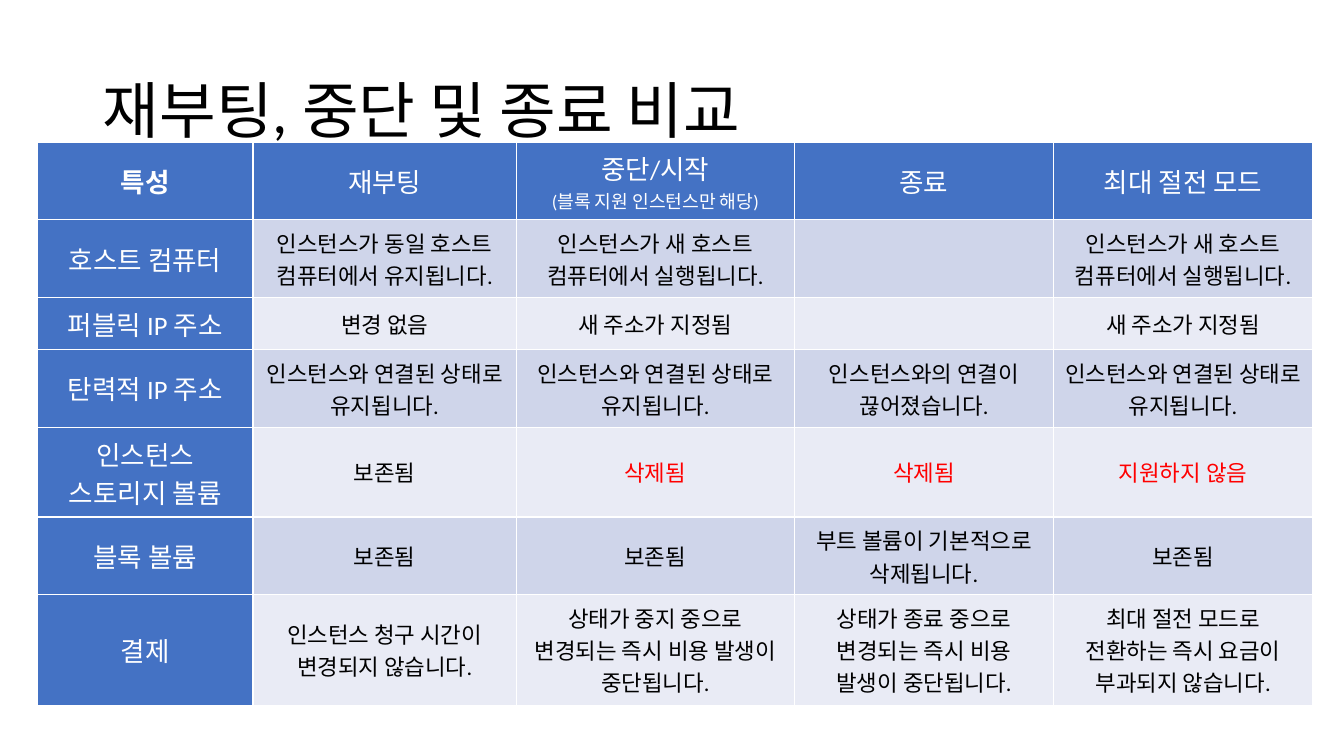
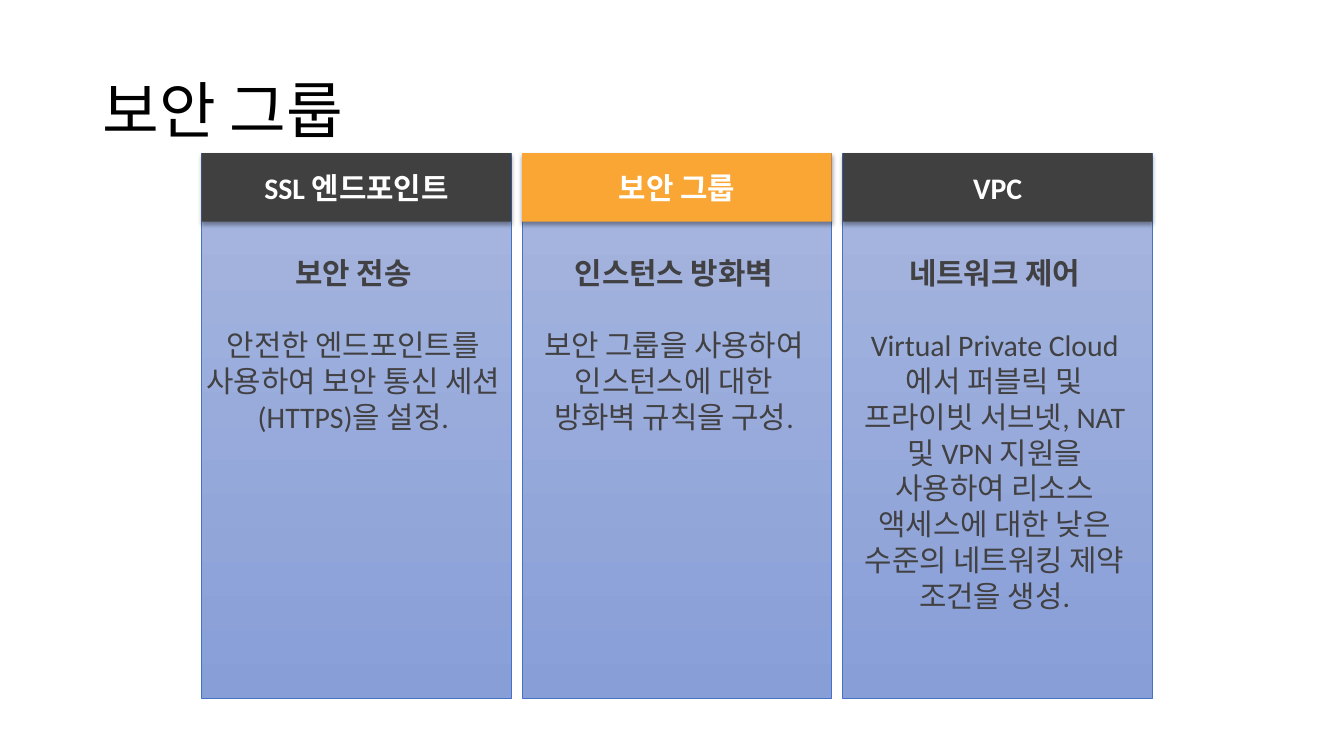
from lxml import etree
from pptx import Presentation
from pptx.dml.color import RGBColor
from pptx.enum import shapes, text
from pptx.oxml.ns import qn
from pptx.util import Inches, Pt

COLORS = {
    "black": "000000", "white": "FFFFFF", "red": "FF0000",
    "blue": "4472C4", "band_dark": "CFD5EA", "band_light": "E9EBF5",
    "charcoal": "404040", "orange": "FAA634", "body": "414042",
    "card_top": "A8B7DF", "card_bottom": "889ED7",
}
FONT = "Calibri"

COMPARISON_TITLE = "재부팅, 중단 및 종료 비교"
COMPARISON = [
    ["특성", "재부팅", "중단/시작\n(블록 지원 인스턴스만 해당)", "종료", "최대 절전 모드"],
    ["호스트 컴퓨터", "인스턴스가 동일 호스트 컴퓨터에서 유지됩니다.",
     "인스턴스가 새 호스트 컴퓨터에서 실행됩니다.", "",
     "인스턴스가 새 호스트 컴퓨터에서 실행됩니다."],
    ["퍼블릭 IP 주소", "변경 없음", "새 주소가 지정됨", "", "새 주소가 지정됨"],
    ["탄력적 IP 주소", "인스턴스와 연결된 상태로 유지됩니다.",
     "인스턴스와 연결된 상태로 유지됩니다.", "인스턴스와의 연결이 끊어졌습니다.",
     "인스턴스와 연결된 상태로 유지됩니다."],
    ["인스턴스 스토리지 볼륨", "보존됨", "삭제됨", "삭제됨", "지원하지 않음"],
    ["블록 볼륨", "보존됨", "보존됨", "부트 볼륨이 기본적으로 삭제됩니다.", "보존됨"],
    ["결제", "인스턴스 청구 시간이 변경되지 않습니다.",
     "상태가 중지 중으로 변경되는 즉시 비용 발생이 중단됩니다.",
     "상태가 종료 중으로 변경되는 즉시 비용 발생이 중단됩니다.",
     "최대 절전 모드로 전환하는 즉시 요금이 부과되지 않습니다."],
]
WARNINGS = {"삭제됨", "지원하지 않음"}
COLUMN_WIDTHS = [2.14, 2.61, 2.76, 2.57, 2.57]
ROW_HEIGHTS = [0.77, 0.77, 0.52, 0.77, 0.89, 0.77, 1.1]

SECURITY_TITLE = "보안 그룹"
# header, header colour, heading, description, text width
CARDS = [
    ("SSL 엔드포인트", "charcoal", "보안 전송",
     "안전한 엔드포인트를 사용하여 보안 통신 세션(HTTPS)을 설정.", 3.2),
    ("보안 그룹", "orange", "인스턴스 방화벽",
     "보안 그룹을 사용하여 인스턴스에 대한 방화벽 규칙을 구성.", 2.96),
    ("VPC", "charcoal", "네트워크 제어",
     "Virtual Private Cloud에서 퍼블릭 및 프라이빗 서브넷, NAT 및 VPN 지원을 사용하여 "
     "리소스 액세스에 대한 낮은 수준의 네트워킹 제약 조건을 생성.", 2.98),
]
CARD_LEFT, CARD_TOP, CARD_WIDTH, CARD_HEIGHT = 2, 1.52, 3.07, 5.41
CARD_PITCH, HEADER_HEIGHT, TEXT_TOP, CARD_SIZE = 3.18, 0.68, 2.48, 21.3


def rgb(name):
    return RGBColor.from_string(COLORS[name])


def style(para, size, color, bold=False, align=text.PP_ALIGN.CENTER):
    para.alignment = align
    for span in para.runs:
        span.font.name = FONT
        span.font.size = Pt(size)
        span.font.bold = bold
        span.font.color.rgb = rgb(color)


def add_text(page, words, left, top, width, height):
    box = page.shapes.add_textbox(*map(Inches, (left, top, width, height)))
    box.text_frame.word_wrap = True
    box.text_frame.text = words
    return box.text_frame


def add_page(deck, title):
    page = deck.slides.add_slide(deck.slide_layouts[6])
    frame = add_text(page, title, 0.92, 0.4, 11.5, 1.45)
    frame.vertical_anchor = text.MSO_ANCHOR.MIDDLE
    frame.paragraphs[0].line_spacing = 0.9
    style(frame.paragraphs[0], 44, "black", align=text.PP_ALIGN.LEFT)
    return page


def add_rectangle(page, left, top, width, height):
    box = page.shapes.add_shape(shapes.MSO_SHAPE.RECTANGLE,
                                *map(Inches, (left, top, width, height)))
    box.shadow.inherit = False
    return box


def add_soft_shadow(box):
    effects = box._element.spPr.find(qn("a:effectLst"))
    shadow = etree.SubElement(effects, qn("a:outerShdw"), blurRad=str(Pt(3.1)),
                              dist=str(Pt(1.8)), dir="5400000", rotWithShape="0")
    color = etree.SubElement(shadow, qn("a:srgbClr"), val=COLORS["black"])
    etree.SubElement(color, qn("a:alpha"), val="35000")


def fill_cell(cell, words, row, column):
    is_label = row == 0 or column == 0
    fill = "blue" if is_label else "band_dark" if row % 2 else "band_light"
    cell.fill.solid()
    cell.fill.fore_color.rgb = rgb(fill)
    cell.vertical_anchor = text.MSO_ANCHOR.MIDDLE
    cell.margin_left = cell.margin_right = Inches(0.11)
    cell.margin_top = cell.margin_bottom = Inches(0.07)
    cell.text_frame.text = words
    color = "white" if is_label else "red" if words in WARNINGS else "black"
    for index, para in enumerate(cell.text_frame.paragraphs):
        size = 13 if index else 19 if is_label else 16
        style(para, size, color, bold=row == column == 0)


def build_comparison(deck):
    page = add_page(deck, COMPARISON_TITLE)
    table = page.shapes.add_table(
        len(ROW_HEIGHTS), len(COLUMN_WIDTHS), Inches(0.37), Inches(1.41),
        Inches(sum(COLUMN_WIDTHS)), Inches(sum(ROW_HEIGHTS))).table
    for column, width in zip(table.columns, COLUMN_WIDTHS):
        column.width = Inches(width)
    for row, height in zip(table.rows, ROW_HEIGHTS):
        row.height = Inches(height)
    for row, entries in enumerate(COMPARISON):
        for column, words in enumerate(entries):
            fill_cell(table.cell(row, column), words, row, column)


def add_card(page, left, header, header_color, heading, description, text_width):
    card = add_rectangle(page, left, CARD_TOP, CARD_WIDTH, CARD_HEIGHT)
    card.fill.gradient()
    card.fill.gradient_angle = 270
    for stop, color in zip(card.fill.gradient_stops, ("card_top", "card_bottom")):
        stop.color.rgb = rgb(color)
    card.line.color.rgb = rgb("blue")
    card.line.width = Pt(0.5)

    band = add_rectangle(page, left, CARD_TOP, CARD_WIDTH, HEADER_HEIGHT)
    band.fill.solid()
    band.fill.fore_color.rgb = rgb(header_color)
    band.line.fill.background()
    add_soft_shadow(band)
    band.text_frame.text = header
    band.text_frame.vertical_anchor = text.MSO_ANCHOR.MIDDLE
    style(band.text_frame.paragraphs[0], CARD_SIZE, "white", bold=True)

    text_left = left + (CARD_WIDTH - text_width) / 2 - 0.03
    frame = add_text(page, f"{heading}\n{description}", text_left, TEXT_TOP, text_width, 3.7)
    title, body = frame.paragraphs
    style(title, CARD_SIZE, "body", bold=True)
    title.space_after = Pt(26)
    style(body, CARD_SIZE, "body")


def build_security(deck):
    page = add_page(deck, SECURITY_TITLE)
    for index, card in enumerate(CARDS):
        add_card(page, CARD_LEFT + index * CARD_PITCH, *card)


def main():
    deck = Presentation()
    deck.slide_width, deck.slide_height = Inches(13.33), Inches(7.5)
    build_comparison(deck)
    build_security(deck)
    deck.save("out.pptx")


if __name__ == "__main__":
    main()
